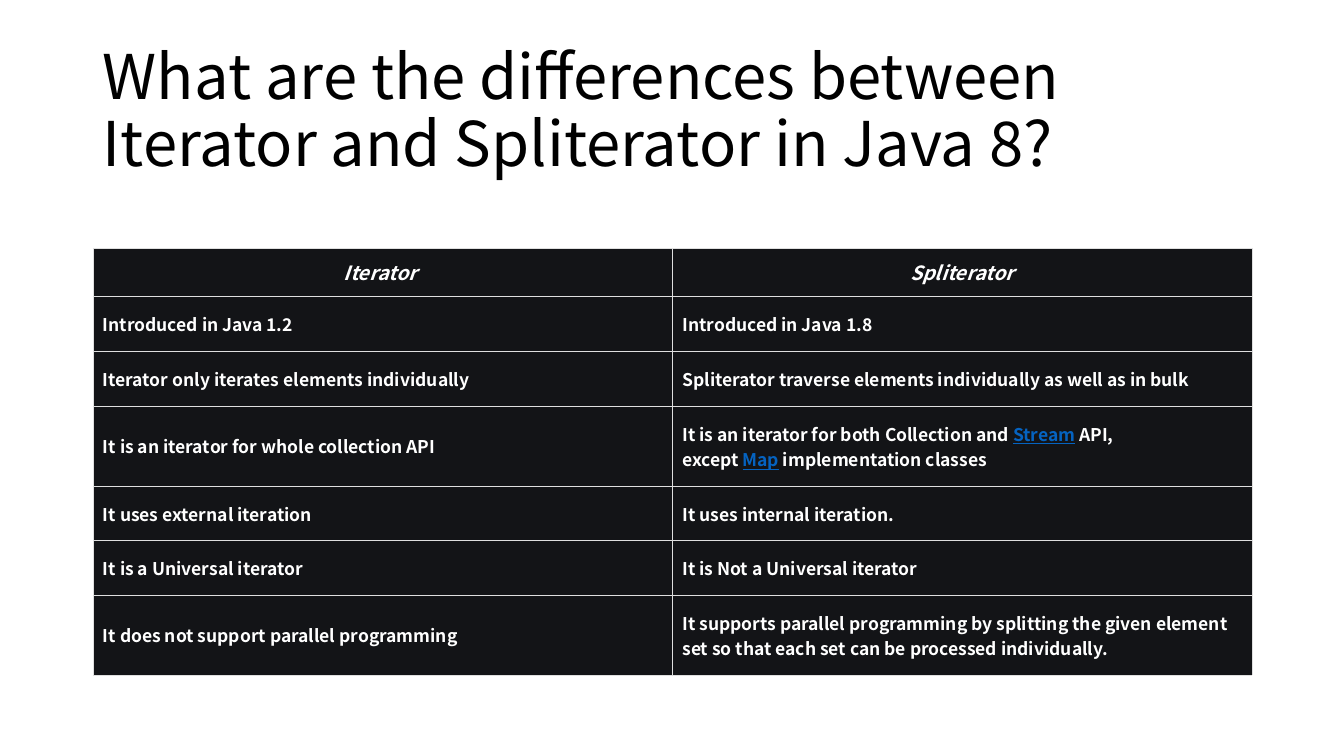
from lxml.etree import SubElement
from pptx import Presentation
from pptx.dml.color import RGBColor
from pptx.enum.text import MSO_ANCHOR as Anchor, PP_ALIGN as Align
from pptx.oxml.ns import qn
from pptx.util import Emu, Pt

SCALE = 914400 / 100.8
COLORS = {"title": "000000", "cell": "131417", "text": "FFFFFF",
          "link": "0563C1", "border": "DFDFDF"}
FONT = "Noto Sans CJK SC"


def px(length):
    return Emu(round(length * SCALE))


def write(paragraph, text, size=12.5, color="text", bold=False, italic=False,
          underline=False):
    run = paragraph.add_run()
    run.text = text
    font = run.font
    font.name, font.size = FONT, Pt(size)
    font.bold, font.italic, font.underline = bold, italic, underline
    font.color.rgb = RGBColor.from_string(COLORS[color])


class SlideBuilder:
    def __init__(self, slide):
        self.slide = slide

    def title(self, text, left, top, width, height):
        frame = self.slide.shapes.add_textbox(
            px(left), px(top), px(width), px(height)).text_frame
        frame.word_wrap = True
        frame.vertical_anchor = Anchor.MIDDLE
        heading = frame.paragraphs[0]
        heading.line_spacing = 0.9
        write(heading, text, size=44, color="title")

    def table(self, rows, heights, left, top, width):
        table = self.slide.shapes.add_table(
            len(rows), len(rows[0]), px(left), px(top), px(width),
            px(sum(heights))).table
        table.first_row = table.horz_banding = False
        for table_row, height, texts in zip(table.rows, heights, rows):
            table_row.height = px(height)
            for cell, content in zip(table_row.cells, texts):
                self.cell(cell, content, header=texts is rows[0])
        return table

    def cell(self, cell, content, header):
        cell.vertical_anchor = Anchor.MIDDLE
        cell.margin_left = cell.margin_right = px(10)
        cell.margin_top = cell.margin_bottom = px(10 if header else 15)
        self.borders(cell)
        cell.fill.solid()
        cell.fill.fore_color.rgb = RGBColor.from_string(COLORS["cell"])
        paragraph = cell.text_frame.paragraphs[0]
        paragraph.alignment = Align.CENTER if header else Align.LEFT
        # Every second part between bars is styled as a link
        for index, part in enumerate(content.split("|")):
            linked = index % 2 == 1
            write(paragraph, part, size=14 if header else 12.5,
                  color="link" if linked else "text", bold=True,
                  italic=header, underline=linked)

    def borders(self, cell):
        properties = cell._tc.get_or_add_tcPr()
        for side in ("lnL", "lnR", "lnT", "lnB"):
            line = SubElement(properties, qn(f"a:{side}"), w=str(Pt(0.23)))
            fill = SubElement(line, qn("a:solidFill"))
            SubElement(fill, qn("a:srgbClr"), val=COLORS["border"])


deck = Presentation()
deck.slide_width, deck.slide_height = px(1344), px(756)
builder = SlideBuilder(deck.slides.add_slide(deck.slide_layouts[6]))

# Title
builder.title("What are the differences between Iterator and Spliterator in Java 8?",
              93, 40, 1159, 146)

# Comparison table
COMPARISON = [
    ("Iterator\u00a0", "Spliterator"),
    ("Introduced in Java 1.2", "Introduced in Java 1.8"),
    ("Iterator only iterates elements individually",
     "Spliterator traverse elements individually as well as in bulk"),
    ("It is an iterator for whole collection API",
     "It is an iterator for both Collection and\u00a0|Stream|\u00a0API, "
     "except\u00a0|Map|\u00a0implementation classes\u00a0"),
    ("It uses external iteration", "It uses internal iteration.\u00a0"),
    ("It is a Universal iterator\u00a0", "It is Not a Universal iterator\u00a0"),
    ("It does not support parallel programming",
     "It supports parallel programming by splitting the given element set "
     "so that each set can be processed individually."),
]
ROW_HEIGHTS = [48, 55, 55, 80, 54, 55, 80]
comparison = builder.table(COMPARISON, ROW_HEIGHTS, 93, 248, 1159)
iterator_header = comparison.cell(0, 0)
iterator_header.margin_left = iterator_header.margin_right = px(4)

deck.save("out.pptx")
